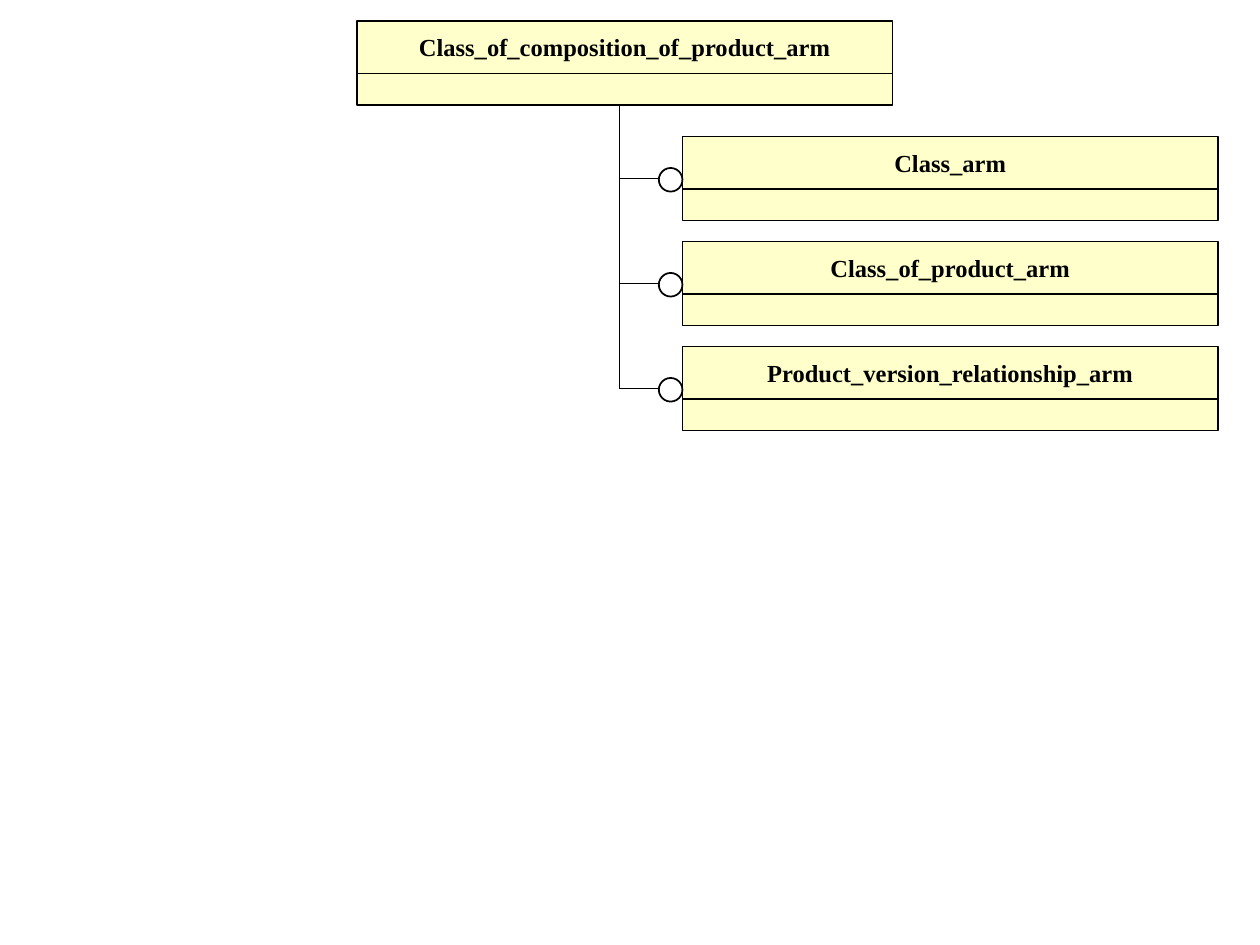
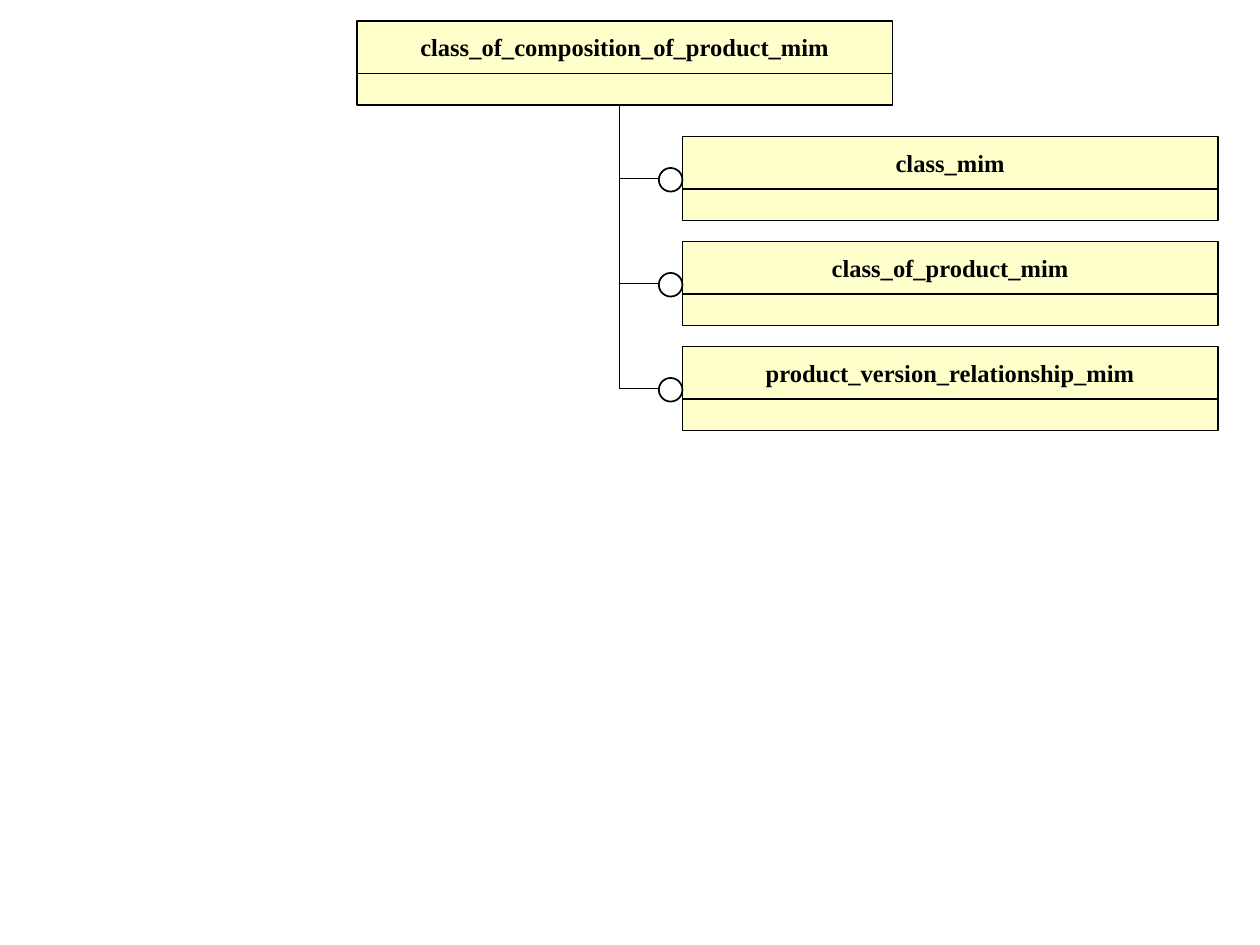
from pptx import Presentation
from pptx.dml.color import RGBColor
from pptx.enum.shapes import MSO_CONNECTOR, MSO_SHAPE
from pptx.enum.text import MSO_ANCHOR, PP_ALIGN
from pptx.oxml.ns import qn
from pptx.util import Inches, Pt
from lxml import etree

RECT, OVAL = MSO_SHAPE.RECTANGLE, MSO_SHAPE.OVAL
STRAIGHT = MSO_CONNECTOR.STRAIGHT
MIDDLE, CENTER = MSO_ANCHOR.MIDDLE, PP_ALIGN.CENTER

CREAM = RGBColor(0xFF, 0xFF, 0xCC)
WHITE = RGBColor(0xFF, 0xFF, 0xFF)
BLACK = RGBColor(0, 0, 0)
FONT = "Times New Roman"

# The slide is a grid of 120 columns by 90 rows of square cells
WIDTH, HEIGHT = Inches(10), Inches(7.5)
CELL = WIDTH / 120

# Sizes in cells
BOX_W, NAME_H, BODY_H = 51, 5, 3
BOX_H = NAME_H + BODY_H
TRUNK = 25            # trunk, from the left of the root
CHILD_X, CHILD_Y = 31, 11
PITCH = 10            # from one child to the next
RING = 2.25

TREES = [
    ("Class_of_composition_of_product_arm",
     ["Class_arm", "Class_of_product_arm",
      "Product_version_relationship_arm"]),
    ("class_of_composition_of_product_mim",
     ["class_mim", "class_of_product_mim",
      "product_version_relationship_mim"]),
]


def cells(*counts):
    return [round(n * CELL) for n in counts]


def add_part(shapes, kind, box, fill, weight=0.75):
    part = shapes.add_shape(kind, *cells(*box))
    part.shadow.inherit = False
    part.fill.solid()
    part.fill.fore_color.rgb = fill
    part.line.color.rgb = BLACK
    part.line.width = Pt(weight)
    return part


def add_line(slide, x1, y1, x2, y2):
    line = slide.shapes.add_connector(STRAIGHT, *cells(x1, y1, x2, y2))
    line.line.color.rgb = BLACK
    line.line.width = Pt(0.75)
    etree.SubElement(line._element.spPr, qn("a:effectLst"))


def add_class(slide, x, y, name):
    """Class box: name on top, empty body below."""
    group = slide.shapes.add_group_shape()
    head = add_part(group.shapes, RECT, (x, y, BOX_W, NAME_H), CREAM)
    add_part(group.shapes, RECT, (x, y + NAME_H, BOX_W, BODY_H), CREAM)
    frame = head.text_frame
    frame.text = name
    frame.word_wrap = False
    frame.vertical_anchor = MIDDLE
    frame.paragraphs[0].alignment = CENTER
    font = frame.paragraphs[0].runs[0].font
    font.name, font.size, font.bold = FONT, Pt(14), True
    font.color.rgb = BLACK


def add_tree(slide, x, y, root, kids):
    """Root class with its subclasses hanging from one trunk."""
    trunk, left = x + TRUNK, x + CHILD_X
    tops = [y + CHILD_Y + i * PITCH for i in range(len(kids))]

    # Classes
    add_class(slide, x, y, root)
    for top, name in zip(tops, kids):
        add_class(slide, left, top, name)

    # Trunk, then a branch and ring for each subclass
    add_line(slide, trunk, tops[-1] + BOX_H / 2, trunk, y + BOX_H)
    for top in tops:
        mid = top + BOX_H / 2
        add_line(slide, trunk, mid, left - 2, mid)
        add_part(slide.shapes, OVAL,
                 (left - RING, mid - 1, RING, RING), WHITE, 1)


def main():
    deck = Presentation()
    deck.slide_width, deck.slide_height = WIDTH, HEIGHT
    for root, kids in TREES:
        slide = deck.slides.add_slide(deck.slide_layouts[6])
        add_tree(slide, 34, 2, root, kids)
    deck.save("out.pptx")


if __name__ == "__main__":
    main()
